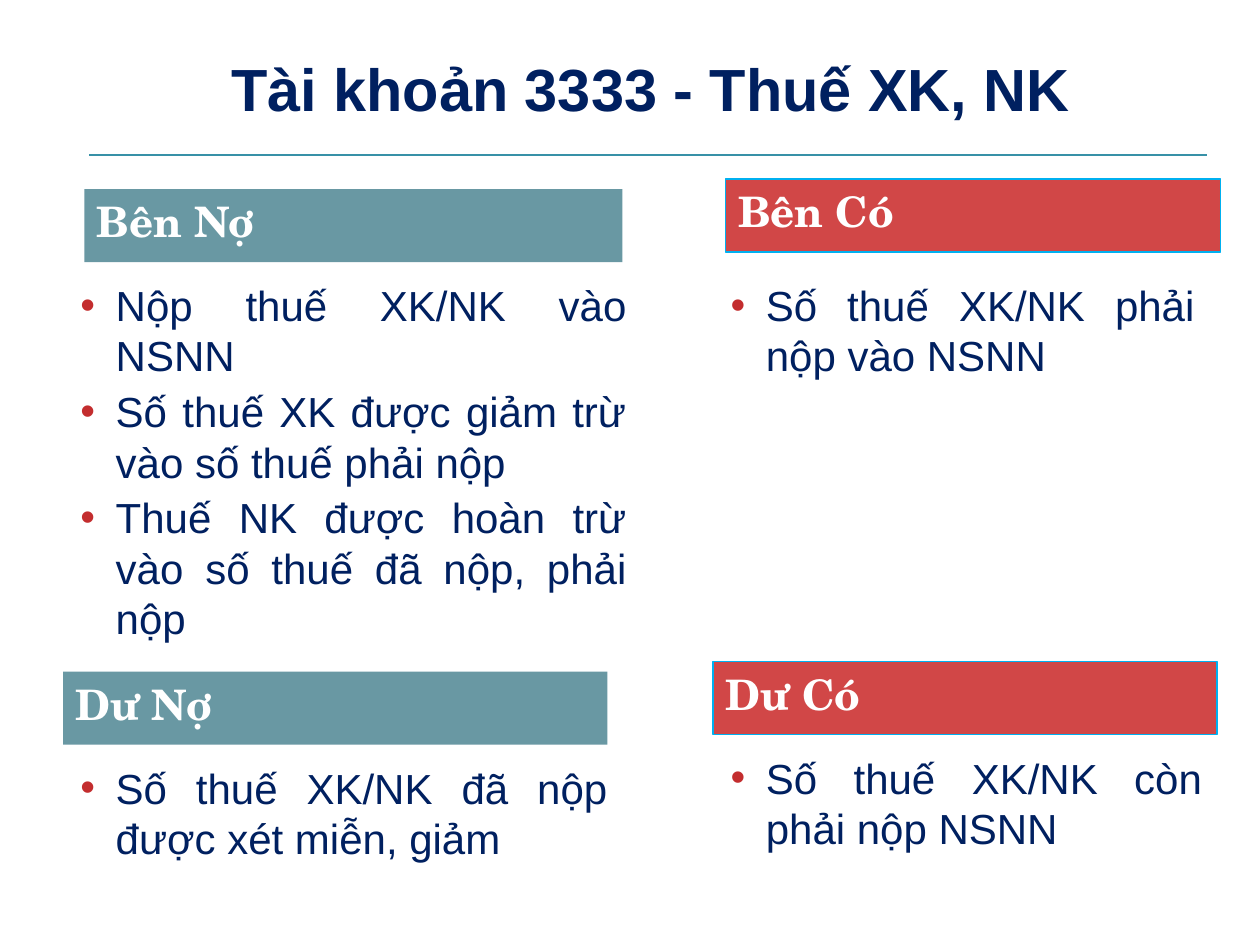
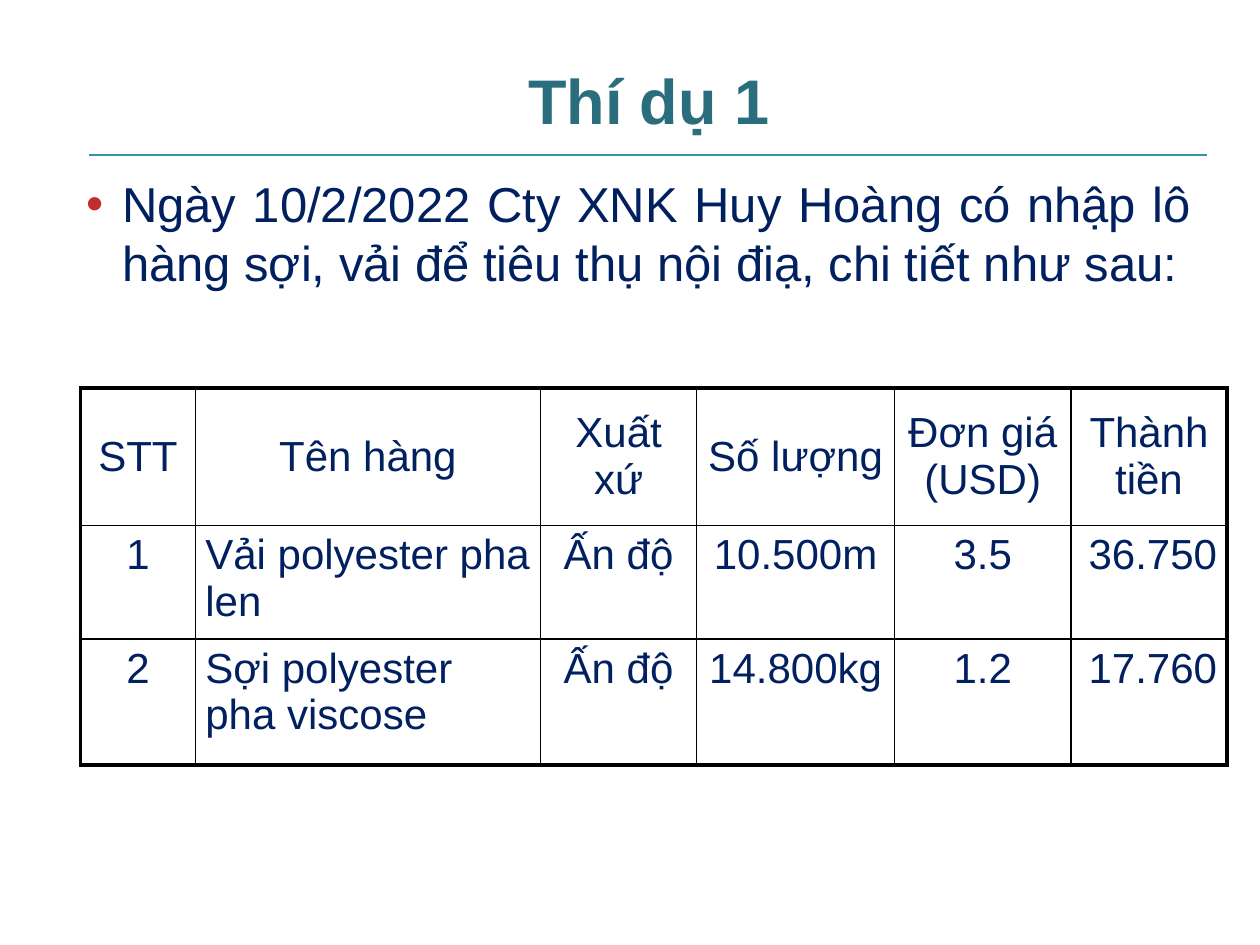
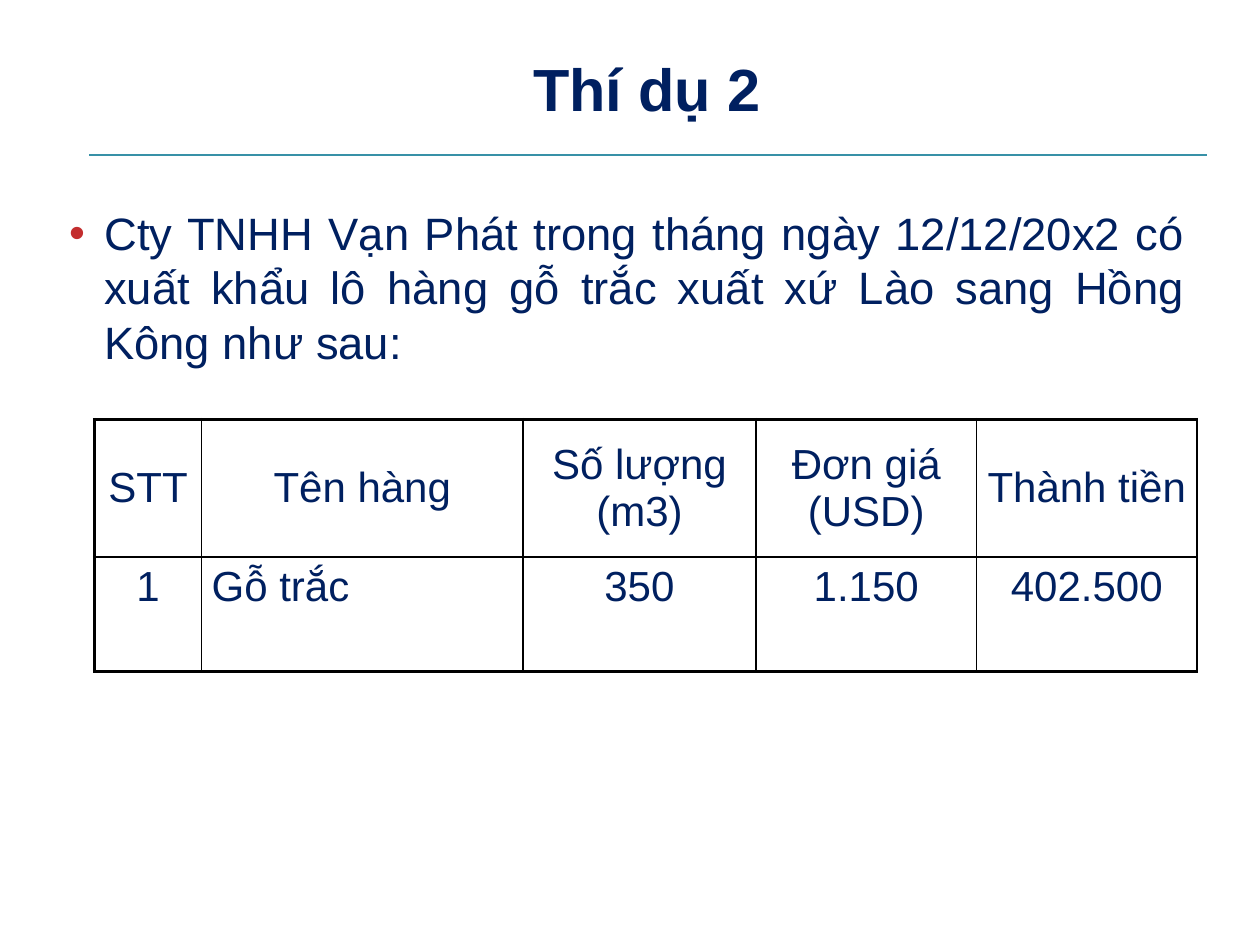
from lxml import etree
from pptx import Presentation
from pptx import util as u
from pptx.dml.color import RGBColor
from pptx.enum import shapes, text
from pptx.oxml import ns

NAVY, TEAL, RED = "002060", "2A6D7D", "C00000"
WHITE, BLACK, RULE, BULLET, EDGE = "FFFFFF", "000000", "3891A7", "C32D2E", "00B0F0"
BODY_FONT, BAR_FONT = "Arial", "TeX Gyre Schola"
LEFT, CENTER, RIGHT, JUSTIFY = (
    text.PP_ALIGN.LEFT, text.PP_ALIGN.CENTER, text.PP_ALIGN.RIGHT, text.PP_ALIGN.JUSTIFY)
RECTANGLE, ROUNDED = shapes.MSO_SHAPE.RECTANGLE, shapes.MSO_SHAPE.ROUNDED_RECTANGLE


def add_block(page, kind, place, code, opacity):
    block = page.shapes.add_shape(kind, *map(u.Inches, place))
    block.shadow.inherit = False
    block.fill.solid()
    block.fill.fore_color.rgb = RGBColor.from_string(code)
    shade = block._element.spPr.find(ns.qn("a:solidFill"))[0]
    etree.SubElement(shade, ns.qn("a:alpha"), val=str(opacity * 1000))
    block.line.fill.background()
    return block


def write(para, words, size, code, align, bold=False, face=BODY_FONT):
    para.alignment = align
    span = para.add_run()
    span.text = words
    span.font.size = u.Pt(size)
    span.font.name = face
    span.font.bold = bold
    span.font.color.rgb = RGBColor.from_string(code)


deck = Presentation()
deck.slide_width, deck.slide_height = u.Inches(10), u.Inches(7.5)

corner_strips = [
    (ROUNDED, (8.06, 0.64, 1.75, 0.04), 19),
    (RECTANGLE, (9.94, 0, 0.06, 0.68), 65),
    (RECTANGLE, (9.89, 0, 0.03, 0.68), 65),
    (RECTANGLE, (9.87, 0, 0.01, 0.68), 60),
    (RECTANGLE, (9.82, 0, 0.03, 0.68), 40),
    (RECTANGLE, (9.75, 0, 0.06, 0.64), 20),
    (RECTANGLE, (9.7, 0, 0.01, 0.64), 30),
]
titles = [
    ("Tài khoản 3333 - Thuế XK, NK", (0.75, 0.28, 8.83, 0.83), 34, NAVY),
    ("Thí dụ 1", (0.71, 0.33, 8.88, 0.92), 36, TEAL),
    ("Thí dụ 2", (0.77, 0.28, 8.73, 0.83), 34, NAVY),
]
pages = []
for words, title_place, size, code in titles:
    page = deck.slides.add_slide(deck.slide_layouts[6])
    pages.append(page)
    page.background.fill.solid()
    page.background.fill.fore_color.rgb = RGBColor.from_string(WHITE)
    for kind, place, opacity in corner_strips:
        add_block(page, kind, place, WHITE, opacity)

    rule = page.shapes.add_connector(
        shapes.MSO_CONNECTOR.STRAIGHT,
        u.Inches(0.71), u.Inches(1.23), u.Inches(9.58), u.Inches(1.23))
    rule.line.color.rgb = RGBColor.from_string(RULE)
    rule.line.width = u.Pt(1.5)
    etree.SubElement(rule._element.spPr, ns.qn("a:effectLst"))

    box = page.shapes.add_textbox(*map(u.Inches, title_place))
    box.text_frame.word_wrap = True
    box.text_frame.vertical_anchor = text.MSO_ANCHOR.MIDDLE
    write(box.text_frame.paragraphs[0], words, size, code, CENTER, bold=True)

account, import_example, export_example = pages

bars = [
    ("Bên Nợ", (0.67, 1.5, 4.27, 0.58), TEAL, 70, None),
    ("Bên Có", (5.76, 1.42, 3.93, 0.58), RED, 72, EDGE),
    ("Dư Nợ", (0.5, 5.33, 4.32, 0.58), TEAL, 70, None),
    ("Dư Có", (5.66, 5.25, 4, 0.58), RED, 72, EDGE),
]
for words, place, code, opacity, edge in bars:
    bar = add_block(account, RECTANGLE, place, code, opacity)
    if edge:
        bar.line.color.rgb = RGBColor.from_string(edge)
        bar.line.width = u.Pt(0.75)
    bar.text_frame.vertical_anchor = text.MSO_ANCHOR.MIDDLE
    para = bar.text_frame.paragraphs[0]
    para.line_spacing = 0.8
    write(para, words, 24, WHITE, LEFT, bold=True, face=BAR_FONT)

lists = [
    (account, (0.42, 2.17, 4.65, 2.67), 24, [
        "Nộp thuế XK/NK vào NSNN",
        "Số thuế XK được giảm trừ vào số thuế phải nộp",
        "Thuế NK được hoàn trừ vào số thuế đã nộp, phải nộp"]),
    (account, (5.58, 2.17, 4, 1.5), 24, ["Số thuế XK/NK phải nộp vào NSNN"]),
    (account, (5.58, 5.92, 4.06, 0.91), 24, ["Số thuế XK/NK còn phải nộp NSNN"]),
    (account, (0.42, 6, 4.5, 0.91), 24, ["Số thuế XK/NK đã nộp được xét miễn, giảm"]),
    (import_example, (0.47, 1.33, 9.08, 1.42), 28, [
        "Ngày 10/2/2022 Cty XNK Huy Hoàng có nhập lô hàng sợi, vải "
        "để tiêu thụ nội điạ, chi tiết như sau:"]),
    (export_example, (0.33, 1.58, 9.17, 1.34), 25.9, [
        "Cty TNHH Vạn Phát trong tháng ngày 12/12/20x2 có xuất khẩu "
        "lô hàng gỗ trắc xuất xứ Lào sang Hồng Kông như sau:"]),
]
for page, place, size, items in lists:
    box = page.shapes.add_textbox(*map(u.Inches, place))
    frame = box.text_frame
    frame.word_wrap = True
    for index, words in enumerate(items):
        para = frame.add_paragraph() if index else frame.paragraphs[0]
        if index:
            para.space_before = u.Pt(3)
        props = para._p.get_or_add_pPr()
        props.set("marL", str(u.Inches(0.4)))
        props.set("indent", str(u.Inches(-0.28)))
        tint = etree.SubElement(props, ns.qn("a:buClr"))
        etree.SubElement(tint, ns.qn("a:srgbClr"), val=BULLET)
        etree.SubElement(props, ns.qn("a:buFont"), typeface=BODY_FONT)
        etree.SubElement(props, ns.qn("a:buChar"), char="•")
        write(para, words, size, NAVY, JUSTIFY)

THIN, THICK = 1, 2.25
tables = [
    (import_example, (0.64, 3.08), [0.91, 2.74, 1.24, 1.57, 1.4, 1.24], [1.09, 0.66, 1],
     [CENTER, LEFT, CENTER, CENTER, CENTER, RIGHT], THICK, [
        ["STT", "Tên hàng", "Xuất xứ", "Số lượng", "Đơn giá (USD)", "Thành tiền"],
        ["1", "Vải polyester pha len", "Ấn độ", "10.500m", "3.5", "36.750"],
        ["2", "Sợi polyester pha viscose", "Ấn độ", "14.800kg", "1.2", "17.760"]]),
    (export_example, (0.75, 3.33), [0.85, 2.55, 1.85, 1.75, 1.75], [1.09, 0.91],
     [CENTER, LEFT, CENTER, CENTER, CENTER], THIN, [
        ["STT", "Tên hàng", "Số lượng (m3)", "Đơn giá (USD)", "Thành tiền"],
        ["1", "Gỗ trắc", "350", "1.150", "402.500"]]),
]
for page, corner, widths, heights, aligns, right_edge, rows in tables:
    place = (*corner, sum(widths), sum(heights))
    grid = page.shapes.add_table(len(rows), len(widths), *map(u.Inches, place)).table
    grid.first_row = grid.horz_banding = False
    for column, width in zip(grid.columns, widths):
        column.width = u.Inches(width)
    for row, height in zip(grid.rows, heights):
        row.height = u.Inches(height)
    last_row, last_column = len(rows) - 1, len(widths) - 1
    for r, row in enumerate(rows):
        for c, words in enumerate(row):
            cell = grid.cell(r, c)
            cell.margin_left = cell.margin_right = u.Inches(0.08)
            cell.margin_top = cell.margin_bottom = u.Inches(0.05)
            cell.vertical_anchor = text.MSO_ANCHOR.TOP if r else text.MSO_ANCHOR.MIDDLE
            borders = {
                "a:lnL": THIN if c else THICK,
                "a:lnR": right_edge if c == last_column else THIN,
                "a:lnT": THIN if r else THICK,
                "a:lnB": THICK if r == last_row else THIN,
            }
            for side, weight in borders.items():
                border = etree.SubElement(
                    cell._tc.get_or_add_tcPr(), ns.qn(side), w=str(u.Pt(weight)))
                ink = etree.SubElement(border, ns.qn("a:solidFill"))
                etree.SubElement(ink, ns.qn("a:srgbClr"), val=BLACK)
            cell.fill.background()
            write(cell.text_frame.paragraphs[0], words, 24, NAVY,
                  aligns[c] if r else CENTER)

deck.save("out.pptx")
